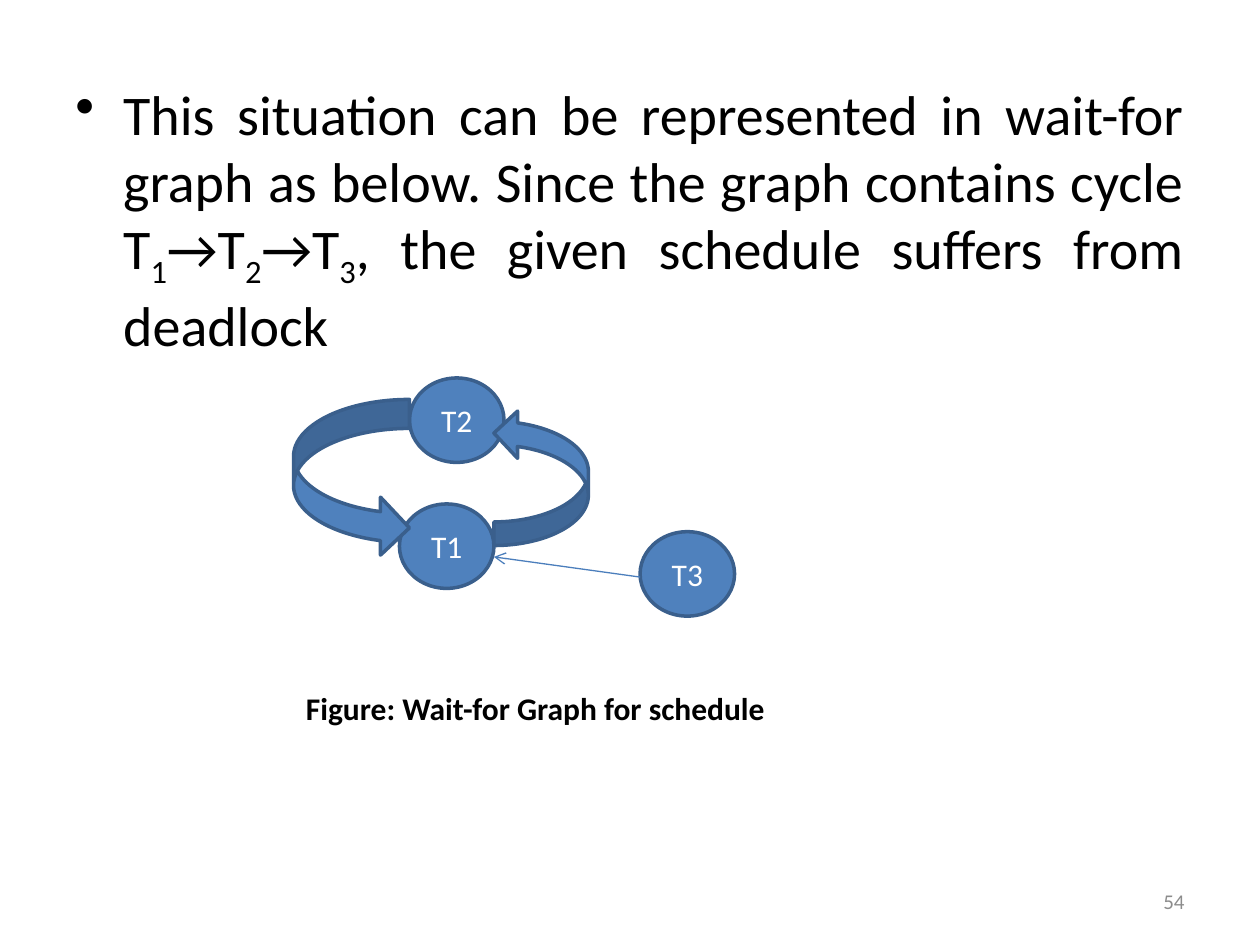
"""Build the wait-for graph slide."""
import dataclasses

import pptx
import pptx.dml.color
import pptx.enum.shapes
import pptx.enum.text
import pptx.oxml
import pptx.oxml.ns
import pptx.util

Inches = pptx.util.Inches
Pt = pptx.util.Pt
Preset = pptx.enum.shapes.MSO_SHAPE
Align = pptx.enum.text.PP_ALIGN
Anchor = pptx.enum.text.MSO_ANCHOR


@dataclasses.dataclass(frozen=True)
class Theme:
    font: str = "Calibri"
    text: str = "000000"
    muted: str = "8C8C8C"
    on_fill: str = "FFFFFF"
    fill: str = "4F81BD"
    outline: str = "3A5F8C"
    edge: str = "4B7EBC"
    body_size: float = 32
    label_size: float = 18
    number_size: float = 12
    outline_width: float = 2
    edge_width: float = 0.75


THEME = Theme()
NODE_WIDTH, NODE_HEIGHT = 0.75, 0.67


def rgb(value):
    return pptx.dml.color.RGBColor.from_string(value)


def style_runs(paragraph, size, color, bold=False):
    for run in paragraph.runs:
        run.font.name = THEME.font
        run.font.size = Pt(size)
        run.font.bold = bold
        run.font.color.rgb = rgb(color)


def add_text(slide, box, text, size, color, align=Align.LEFT, anchor=Anchor.TOP, bold=False):
    frame = slide.shapes.add_textbox(*map(Inches, box)).text_frame
    frame.word_wrap = True
    frame.vertical_anchor = anchor
    frame.text = text
    paragraph = frame.paragraphs[0]
    paragraph.alignment = align
    style_runs(paragraph, size, color, bold)
    return paragraph


def add_bullet(paragraph, indent):
    properties = paragraph._p.get_or_add_pPr()
    properties.set("marL", str(Inches(indent)))
    properties.set("indent", str(-Inches(indent)))
    bullet = pptx.oxml.parse_xml(f'<a:buChar {pptx.oxml.ns.nsdecls("a")} char="•"/>')
    properties.append(bullet)


def add_statement(slide, box, parts):
    """Add a justified bullet from (text, subscript) pairs."""
    paragraph = add_text(slide, box, "", THEME.body_size, THEME.text, Align.JUSTIFY)
    add_bullet(paragraph, 0.38)
    for text, subscript in parts:
        for content, baseline in ((text, 0), (subscript, -25000)):
            if content:
                run = paragraph.add_run()
                run.text = content
                run.font._element.set("baseline", str(baseline))
    style_runs(paragraph, THEME.body_size, THEME.text)


def add_filled(slide, preset, box):
    shape = slide.shapes.add_shape(preset, *map(Inches, box))
    shape.shadow.inherit = False
    shape.fill.solid()
    shape.fill.fore_color.rgb = rgb(THEME.fill)
    shape.line.color.rgb = rgb(THEME.outline)
    shape.line.width = Pt(THEME.outline_width)
    return shape


def add_transaction(slide, label, left, top):
    node = add_filled(slide, Preset.OVAL, (left, top, NODE_WIDTH, NODE_HEIGHT))
    frame = node.text_frame
    frame.text = label
    frame.vertical_anchor = Anchor.MIDDLE
    frame.paragraphs[0].alignment = Align.CENTER
    style_runs(frame.paragraphs[0], THEME.label_size, THEME.on_fill)


def add_curved_edge(slide, preset, box, flips):
    arrow = add_filled(slide, preset, box)
    for flip in flips:
        arrow._element.spPr.xfrm.set(flip, "1")


def add_straight_edge(slide, start, end):
    edge = slide.shapes.add_connector(
        pptx.enum.shapes.MSO_CONNECTOR.STRAIGHT, *map(Inches, start + end)
    )
    edge.line.color.rgb = rgb(THEME.edge)
    edge.line.width = Pt(THEME.edge_width)
    namespace = pptx.oxml.ns.nsdecls("a")
    edge.line._get_or_add_ln().append(
        pptx.oxml.parse_xml(f'<a:tailEnd {namespace} type="arrow"/>')
    )
    edge._element.spPr.append(pptx.oxml.parse_xml(f"<a:effectLst {namespace}/>"))


def main():
    deck = pptx.Presentation()
    deck.slide_width, deck.slide_height = Inches(10), Inches(7.5)
    slide = deck.slides.add_slide(deck.slide_layouts[6])

    add_statement(slide, (0.5, 0.58, 9, 6.12), (
        ("This situation can be represented in wait-for graph as below. "
         "Since the graph contains cycle T", "1"),
        ("→T", "2"),
        ("→T", "3"),
        (", the given schedule suffers from deadlock", ""),
    ))
    add_text(slide, (7.17, 6.95, 2.33, 0.4), "54", THEME.number_size, THEME.muted,
             Align.RIGHT, Anchor.MIDDLE)

    for label, left, top in (("T1", 3.17, 4), ("T3", 5.08, 4.22), ("T2", 3.25, 3)):
        add_transaction(slide, label, left, top)
    add_straight_edge(slide, (5.08, 4.58), (3.92, 4.42))
    add_curved_edge(slide, Preset.CURVED_LEFT_ARROW, (2.33, 3.17, 0.92, 1.25), ("flipH",))
    add_curved_edge(slide, Preset.CURVED_RIGHT_ARROW, (3.92, 3.25, 0.75, 1.08),
                    ("flipH", "flipV"))

    add_text(slide, (2.33, 5.42, 4.33, 0.4), "Figure: Wait-for Graph for schedule",
             THEME.label_size, THEME.text, bold=True)
    deck.save("out.pptx")


if __name__ == "__main__":
    main()
